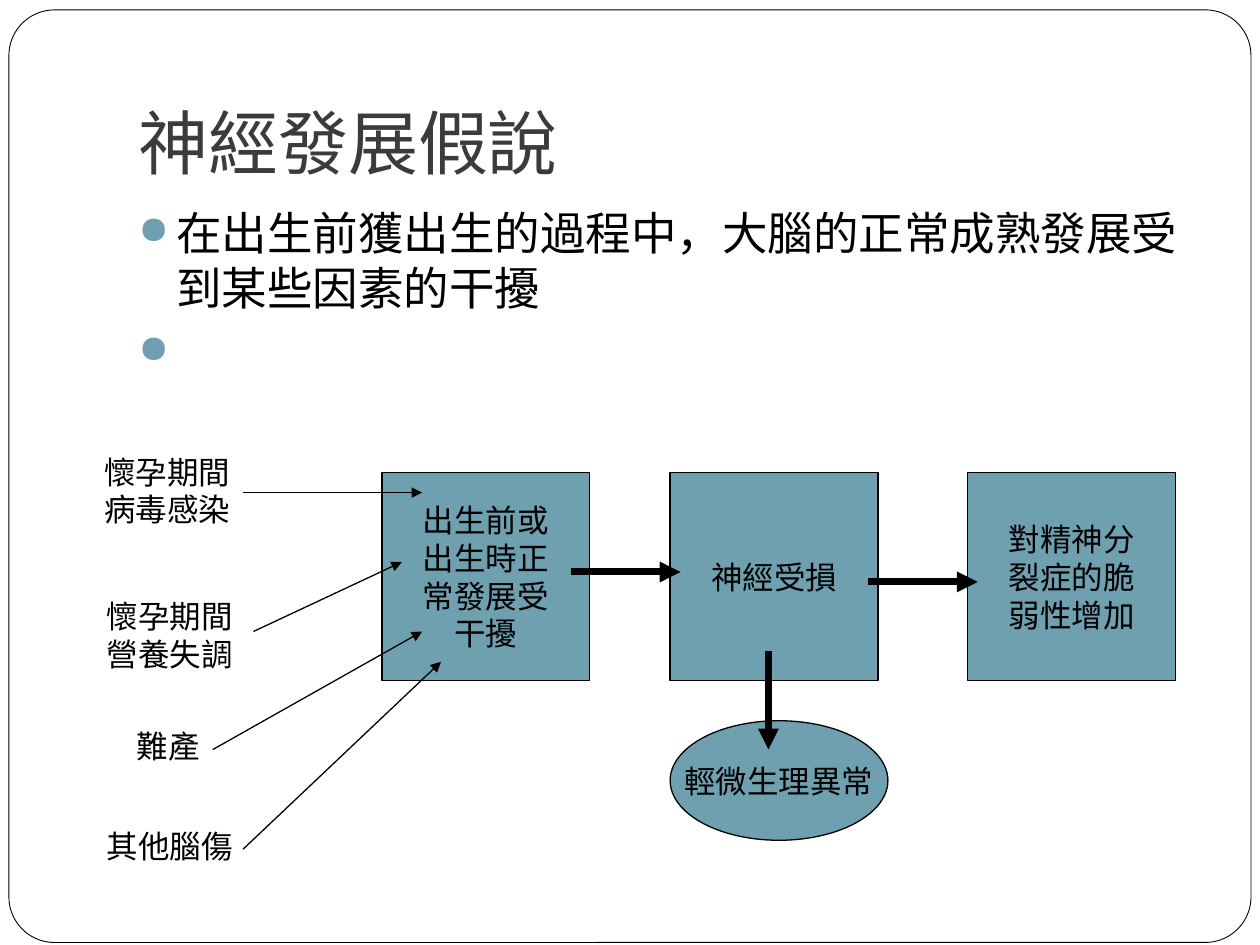
import pptx
import pptx.util
import pptx.dml.color
import pptx.enum.shapes
import pptx.enum.text
import pptx.oxml.ns
import lxml.etree

Cm = pptx.util.Cm
Pt = pptx.util.Pt
RGBColor = pptx.dml.color.RGBColor
SHAPE = pptx.enum.shapes.MSO_SHAPE
ANCHOR = pptx.enum.text.MSO_ANCHOR
ALIGN = pptx.enum.text.PP_ALIGN

BLACK = RGBColor(0x00, 0x00, 0x00)
WHITE = RGBColor(0xFF, 0xFF, 0xFF)
CHARCOAL = RGBColor(0x3B, 0x3B, 0x3B)
TEAL = RGBColor(0x6E, 0xA0, 0xB0)

STAGE_SIDE = 4.19
STAGE_TOP = 0.53
STAGES = [
    (5.85, ["出生前或", "出生時正", "常發展受", "干擾"]),
    (11.66, ["神經受損"]),
    (17.66, ["對精神分", "裂症的脆", "弱性增加"]),
]
STAGE_ARROWS = [
    (9.66, 2.53, 11.87, 2.53),
    (15.65, 2.73, 17.86, 2.73),
    (13.64, 4.13, 13.64, 6.11),
]
CAUSES = [
    (0, 0, 3.05, ["懷孕期間", "病毒感染"], (3.05, 0.93, 6.66, 0.93)),
    (0.05, 2.91, 3.05, ["懷孕期間", "營養失調"], (3.26, 3.73, 6.25, 2.33)),
    (0.66, 5.53, 1.78, ["難產"], (2.44, 6.11, 6.66, 3.73)),
    (0.05, 7.54, 3.05, ["其他腦傷"], (3.05, 8.12, 7.04, 4.34)),
]


def add_child(parent, tag, **attributes):
    return lxml.etree.SubElement(parent, pptx.oxml.ns.qn(tag), attributes)


def write_lines(frame, lines, font_name, size, color, align=ALIGN.LEFT):
    for index, line in enumerate(lines):
        paragraph = frame.paragraphs[0] if index == 0 else frame.add_paragraph()
        paragraph.text = line
        paragraph.alignment = align
        paragraph.font.name = font_name
        paragraph.font.size = Pt(size)
        paragraph.font.color.rgb = color


def add_outlined(slide, kind, box, fill, line_width):
    outlined = slide.shapes.add_shape(kind, *map(Cm, box))
    outlined.shadow.inherit = False
    outlined.fill.solid()
    outlined.fill.fore_color.rgb = fill
    outlined.line.color.rgb = BLACK
    outlined.line.width = Pt(line_width)
    return outlined


def add_node(slide, kind, box, lines):
    frame = add_outlined(slide, kind, box, TEAL, 0.75).text_frame
    frame.word_wrap = False
    frame.vertical_anchor = ANCHOR.MIDDLE
    write_lines(frame, lines, "Arial", 18, BLACK, ALIGN.CENTER)


def add_arrow(slide, left, top, ends, width):
    x1, y1, x2, y2 = ends
    arrow = slide.shapes.add_connector(
        pptx.enum.shapes.MSO_CONNECTOR.STRAIGHT,
        Cm(left + x1), Cm(top + y1), Cm(left + x2), Cm(top + y2))
    arrow.line.color.rgb = BLACK
    arrow.line.width = Pt(width)
    add_child(arrow.line._get_or_add_ln(), "a:tailEnd", type="triangle")
    add_child(arrow._element.spPr, "a:effectLst")


def add_border(slide, box):
    border = add_outlined(slide, SHAPE.ROUNDED_RECTANGLE, box, WHITE, 0.5)
    border.adjustments[0] = 0.049


def add_title(slide, box, title):
    frame = slide.shapes.add_textbox(*map(Cm, box)).text_frame
    frame.word_wrap = True
    frame.vertical_anchor = ANCHOR.BOTTOM
    frame.margin_bottom = Cm(0.25)
    write_lines(frame, [title], "Cabin", 40, CHARCOAL)


def add_bullets(slide, box, points):
    frame = slide.shapes.add_textbox(*map(Cm, box)).text_frame
    frame.word_wrap = True
    for index, point in enumerate(points):
        paragraph = frame.paragraphs[0] if index == 0 else frame.add_paragraph()
        paragraph.text = point
        if index:
            paragraph.space_before = Pt(5.8)
        properties = paragraph._p.get_or_add_pPr()
        indent = Cm(0.76)
        properties.set("marL", str(indent))
        properties.set("indent", str(-indent))
        bullet_color = add_child(properties, "a:buClr")
        add_child(bullet_color, "a:srgbClr", val=str(TEAL))
        add_child(properties, "a:buSzPct", val="85000")
        add_child(properties, "a:buChar", char="●")
        paragraph.font.name = "Times New Roman"
        paragraph.font.size = Pt(26)
        paragraph.font.color.rgb = BLACK


def add_causes(slide, left, top):
    for x, y, width, lines, ends in CAUSES:
        height = 0.26 + 0.76 * len(lines)
        label = slide.shapes.add_textbox(
            Cm(left + x), Cm(top + y), Cm(width), Cm(height))
        label.text_frame.word_wrap = False
        write_lines(label.text_frame, lines, "Arial", 18, BLACK)
        add_arrow(slide, left, top, ends, 0.75)


def add_stages(slide, left, top):
    for x, lines in STAGES:
        box = (left + x, top + STAGE_TOP, STAGE_SIDE, STAGE_SIDE)
        add_node(slide, SHAPE.RECTANGLE, box, lines)
    add_node(slide, SHAPE.OVAL, (left + 11.66, top + 5.53, 4.39, 2.41),
             ["輕微生理異常"])
    for ends in STAGE_ARROWS:
        add_arrow(slide, left, top, ends, 4)


def main():
    presentation = pptx.Presentation()
    presentation.slide_width = Cm(25.4)
    presentation.slide_height = Cm(19.05)
    slide = presentation.slides.add_slide(presentation.slide_layouts[6])
    add_border(slide, (0.18, 0.2, 25.04, 18.8))
    add_title(slide, (2.54, 0.76, 21.59, 3.18), "神經發展假說")
    add_bullets(slide, (2.54, 4.01, 21.59, 12.7), [
        "在出生前獲出生的過程中，大腦的正常成熟發展受到某些因素的干擾",
        "　",
    ])
    add_stages(slide, 1.85, 9)
    add_causes(slide, 1.85, 9)
    presentation.save("out.pptx")


if __name__ == "__main__":
    main()
